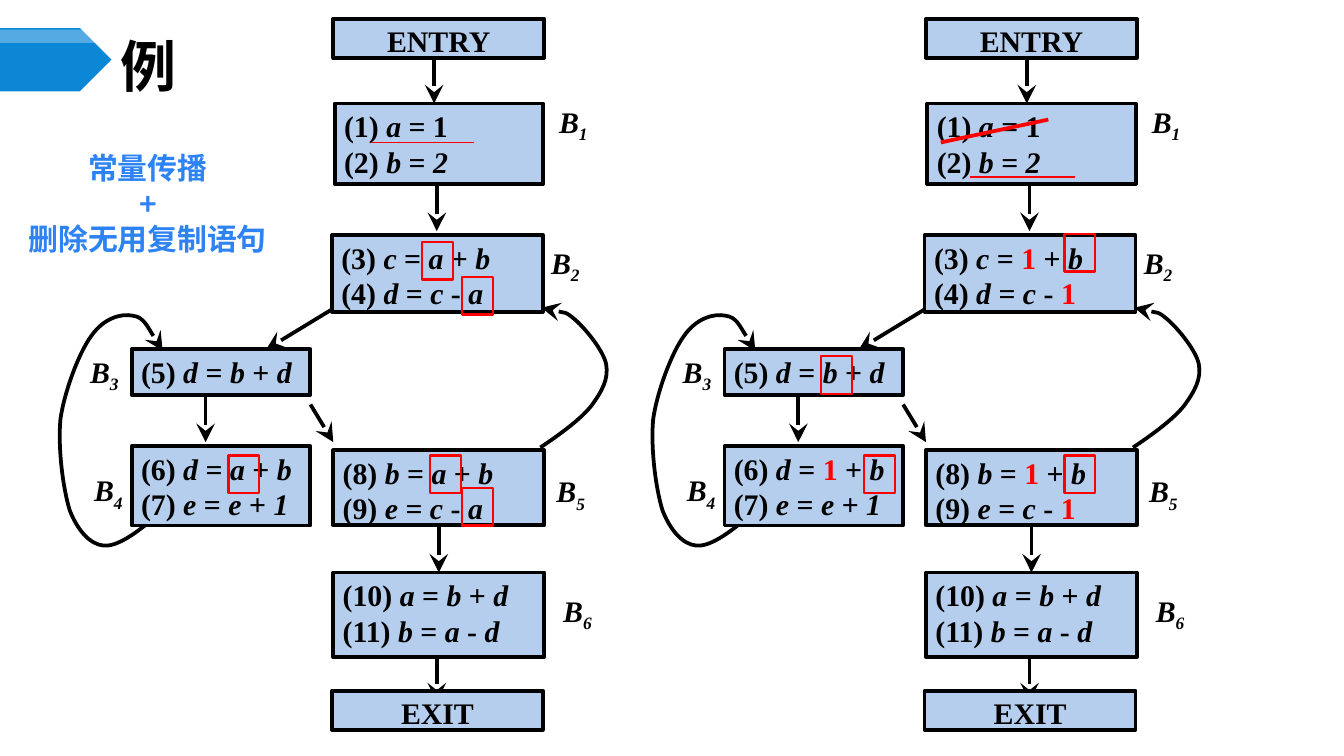
from lxml import etree
from pptx import Presentation
from pptx import util as u
from pptx.dml.color import RGBColor
from pptx.enum import shapes, text
from pptx.oxml.ns import qn

HUE = {"ink": "000000", "box": "B5CEED", "red": "FF0000", "tag": "0B87D6",
       "shine": "FFFFFF", "note": "2D83F4"}
SERIF, SANS = "Times New Roman", "Noto Sans CJK SC"
SIZE = 16
J, C = text.PP_ALIGN.JUSTIFY, text.PP_ALIGN.CENTER
PAD, TIGHT, NONE = (0.07, 0.04, 0.07, 0.04), (0.07, 0.03, 0.07, 0), (0, 0, 0, 0)

# Words: letters are italic, "~" forces italic, "!" is red, {} is the propagated value
BLOCKS = {
    "B1": (2.49, 0.77, 1.55, 0.6, ["(1) a = 1", "(2) b = ~2"]),
    "B2": (2.47, 1.75, 1.57, 0.57, ["(3) c = {} + b", "(4) d = c - {}"]),
    "B3": (0.98, 2.6, 1.33, 0.34, ["(5) d = b + d"]),
    "B4": (0.98, 3.32, 1.33, 0.59, ["(6) d = {} + b", "(7) e = e + ~1"]),
    "B5": (2.48, 3.35, 1.57, 0.56, ["(8) b = {} + b", "(9) e = c - {}"]),
    "B6": (2.48, 4.26, 1.57, 0.63, ["(10) a = b + d", "(11) b = a - d"]),
    "ENTRY": (2.48, 0.14, 1.57, 0.29, ["ENTRY"]),
    "EXIT": (2.47, 5.14, 1.57, 0.29, ["EXIT"]),
}
LABELS = [("1", 4.16, 0.77, 0.43, 0.24, NONE), ("2", 4.03, 1.78, 0.69, 0.36, PAD),
          ("3", 0.6, 2.59, 0.53, 0.36, PAD), ("4", 0.63, 3.47, 0.68, 0.35, PAD),
          ("5", 4.07, 3.48, 0.56, 0.36, PAD), ("6", 4.12, 4.37, 0.69, 0.36, PAD)]
ARROWS = [(3.23, 0.43, 3.23, 0.77), (3.25, 1.38, 3.25, 1.72), (2.49, 2.29, 1.98, 2.6),
          (2.31, 3.01, 2.48, 3.29), (1.53, 2.94, 1.53, 3.29), (3.25, 4.88, 3.25, 5.22)]
LOOP = [(1.14, 3.86), (1.01, 3.97), (0.87, 4.07), (0.77, 4.06), (0.67, 4.05), (0.58, 3.95),
        (0.52, 3.8), (0.47, 3.64), (0.43, 3.34), (0.45, 3.12), (0.48, 2.91), (0.59, 2.62),
        (0.68, 2.5), (0.77, 2.37), (0.9, 2.33), (0.99, 2.35), (1.07, 2.36), (1.17, 2.55),
        (1.21, 2.61)]
BACK = [(4.02, 3.33), (4.17, 3.23), (4.32, 3.12), (4.4, 3.02), (4.48, 2.91), (4.53, 2.82),
        (4.51, 2.71), (4.49, 2.61), (4.36, 2.45), (4.28, 2.38), (4.2, 2.31), (4.03, 2.29),
        (4.03, 2.29)]
STEP = 4.41
GRAPHS = [
    {"value": "a",
     "marks": [(3.14, 1.8), (3.44, 2.06), (3.2, 3.39), (3.44, 3.63), (1.7, 3.39)],
     "strokes": [(2.76, 1.06, 3.53, 1.06, 1)]},
    {"value": "!1",
     "marks": [(3.51, 1.74), (1.7, 2.65), (3.51, 3.39), (2.02, 3.39)],
     "strokes": [(2.59, 1.06, 3.39, 0.89, 2), (2.81, 1.32, 3.59, 1.32, 1)]},
]
NOTE = ["常量传播", "+", "删除无用复制语句"]

deck = Presentation()
deck.slide_width = u.Inches(10)
deck.slide_height = deck.slide_width * 9 // 16
slide = deck.slides.add_slide(deck.slide_layouts[5])
parts = slide.shapes


def inch(*nums):
    return [u.Inches(n) for n in nums]


def rgb(name):
    return RGBColor.from_string(HUE[name])


def style(font, face, size, hue="ink"):
    font.name, font.size, font.bold = face, u.Pt(size), True
    font.color.rgb = rgb(hue)


def asian(run):
    """Use the sans face for Chinese letters as well."""
    run.font.name = SANS
    etree.SubElement(run._r.get_or_add_rPr(), qn("a:ea")).set("typeface", SANS)


def frame(shape, pads, anchor=text.MSO_ANCHOR.TOP):
    tf = shape.text_frame
    tf.margin_left, tf.margin_top, tf.margin_right, tf.margin_bottom = inch(*pads)
    tf.vertical_anchor, tf.word_wrap = anchor, True
    return tf


def rows(tf, lines):
    """Yield one paragraph for each line."""
    for i, line in enumerate(lines):
        yield (tf.add_paragraph() if i else tf.paragraphs[0]), line


def solid(kind, at, fill=None, line=None, width=2):
    shape = parts.add_shape(kind, *inch(*at))
    shape.shadow.inherit = False
    if fill:
        shape.fill.solid()
        shape.fill.fore_color.rgb = rgb(fill)
    else:
        shape.fill.background()
    if line:
        shape.line.color.rgb, shape.line.width = rgb(line), u.Pt(width)
    else:
        shape.line.fill.background()
    return shape


def tip(shape):
    end = etree.SubElement(shape.line._get_or_add_ln(), qn("a:tailEnd"))
    for key, val in (("type", "stealth"), ("w", "lg"), ("len", "lg")):
        end.set(key, val)


def link(ends, hue="ink", width=2, head=True):
    line = parts.add_connector(shapes.MSO_CONNECTOR.STRAIGHT, *inch(*ends))
    line.line.color.rgb, line.line.width = rgb(hue), u.Pt(width)
    if head:
        tip(line)
    etree.SubElement(line._element.spPr, qn("a:effectLst"))
    return line


def curve(points, dx):
    """Draw Bezier pieces: a start, then three points for each piece."""
    spots = [inch(x + dx, y) for x, y in points]
    pen = parts.build_freeform(*spots[0])
    pen.add_line_segments(spots[1:], close=False)
    shape = pen.convert_to_shape()
    track = next(shape._element.iter(qn("a:path")))
    legs = track.findall(qn("a:lnTo"))
    for i in range(0, len(legs), 3):
        bend = etree.SubElement(track, qn("a:cubicBezTo"))
        for leg in legs[i:i + 3]:
            bend.append(leg[0])
            track.remove(leg)
    shape.shadow.inherit = False
    shape.fill.background()
    shape.line.color.rgb, shape.line.width = rgb("ink"), u.Pt(2)
    tip(shape)


def block(name, dx, value):
    x, y, w, h, lines = BLOCKS[name]
    box = solid(shapes.MSO_SHAPE.RECTANGLE, (x + dx, y, w, h), "box", "ink")
    for para, line in rows(frame(box, TIGHT), lines):
        para.alignment = C if line == name else J
        style(para.font, SERIF, SIZE)
        words = line.format(value).split()
        for i, word in enumerate(words):
            run = para.add_run()
            run.text = word.strip("~!") + (" " if i < len(words) - 1 else "")
            run.font.italic = word[0] == "~" or (len(word) == 1 and word.isalpha())
            if word[0] == "!":
                run.font.color.rgb = rgb("red")
    return box


def graph(dx, value, marks, strokes):
    for num, x, y, w, h, pads in LABELS:
        label = parts.add_textbox(*inch(x + dx, y, w, h))
        para = frame(label, pads).paragraphs[0]
        para.alignment = J
        style(para.font, SERIF, SIZE)
        para.font.italic = True
        para.add_run().text = "B"
        sub = para.add_run()
        sub.text = num
        sub.font._element.set("baseline", "-25000")
    for x, y, x2, y2 in ARROWS:
        link((x + dx, y, x2 + dx, y2))
    curve(LOOP, dx)
    boxes = {name: block(name, dx, value) for name in BLOCKS}
    down = link((3.27 + dx, 3.91, 3.27 + dx, 4.26))
    down.begin_connect(boxes["B5"], 2)
    down.end_connect(boxes["B6"], 0)
    curve(BACK, dx)
    for x, y in marks:
        solid(shapes.MSO_SHAPE.RECTANGLE, (x + dx, y, 0.23, 0.28), None, "red", 1.25)
    for x, y, x2, y2, width in strokes:
        link((x + dx, y, x2 + dx, y2), "red", width, head=False)


solid(shapes.MSO_SHAPE.PENTAGON, (0, 0.21, 0.83, 0.47), "tag")
shine = solid(shapes.MSO_SHAPE.PENTAGON, (0, 0.22, 0.83, 0.1), "shine")
tint = next(shine._element.spPr.iter(qn("a:srgbClr")))
etree.SubElement(tint, qn("a:alpha")).set("val", "30000")

title = parts.title
title.left, title.top, title.width, title.height = inch(0.83, 0.29, 4.18, 0.39)
para = frame(title, PAD, text.MSO_ANCHOR.MIDDLE).paragraphs[0]
para.alignment = text.PP_ALIGN.LEFT
style(para.font, SANS, 30)
run = para.add_run()
run.text = "例"
asian(run)

for i, part in enumerate(GRAPHS):
    graph(i * STEP, **part)

note = parts.add_textbox(*inch(0.1, 1.07, 2, 0.91))
tf = note.text_frame
tf.word_wrap = False
for para, line in rows(tf, NOTE):
    para.alignment, para.line_spacing = C, u.Pt(19)
    style(para.font, SANS, SIZE, "note")
    run = para.add_run()
    run.text = line
    asian(run)

deck.save("out.pptx")
